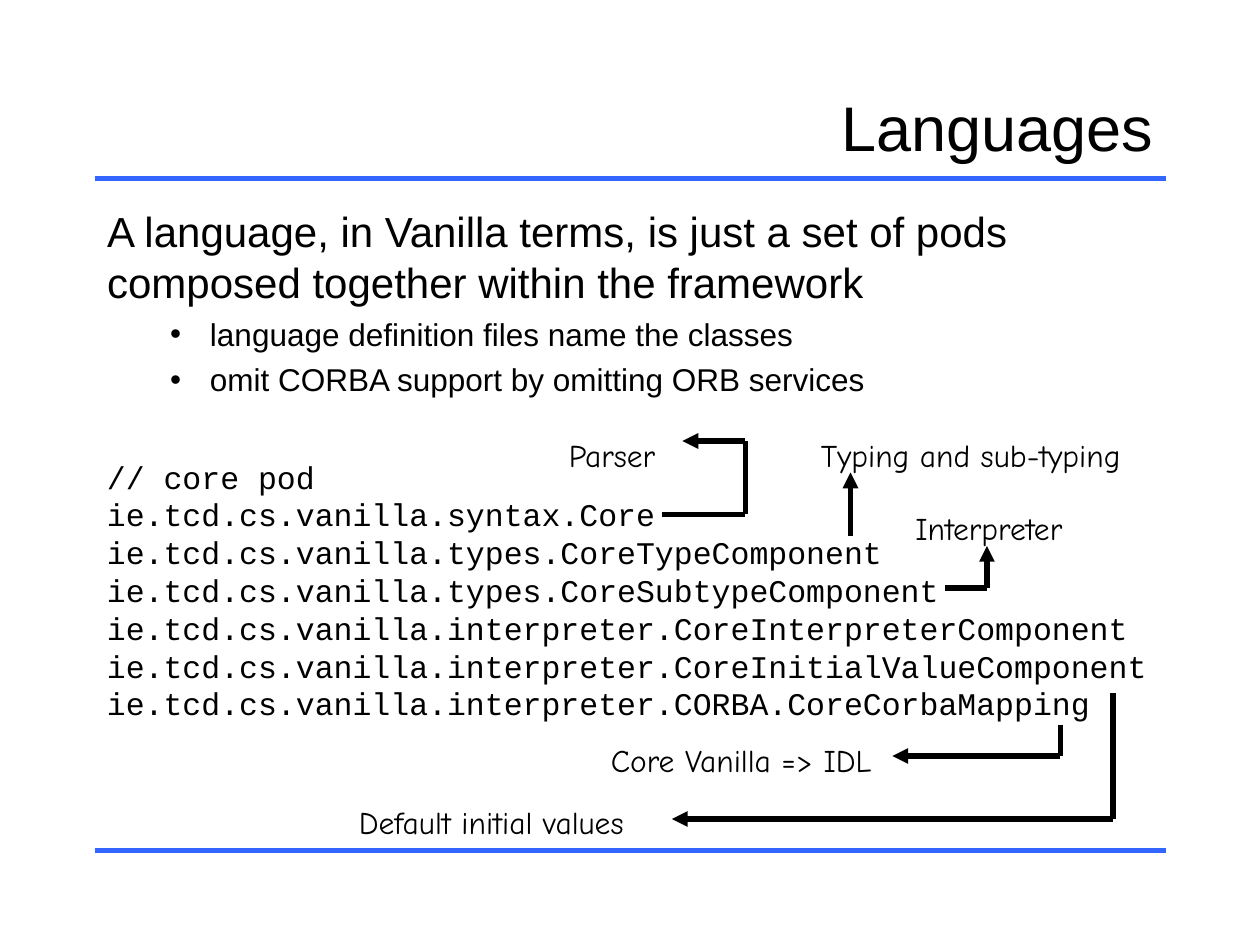
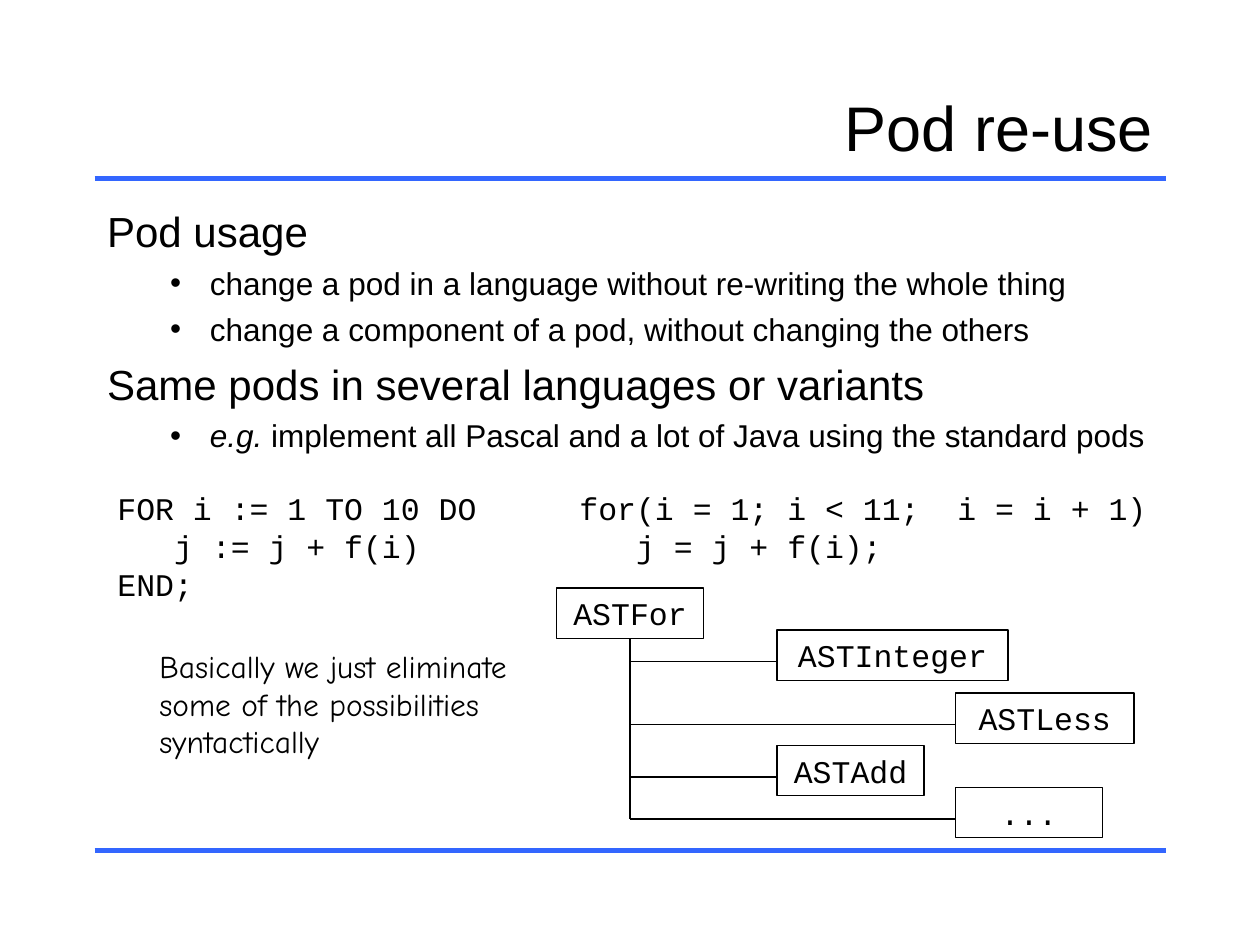
from pptx import Presentation
from pptx.dml.color import RGBColor
from pptx.enum.shapes import MSO_CONNECTOR as LINE, MSO_SHAPE as SHAPE
from pptx.enum.text import MSO_ANCHOR as ANCHOR, MSO_AUTO_SIZE as FIT, PP_ALIGN as ALIGN
from pptx.oxml.ns import qn
from pptx.util import Pt
from lxml.etree import SubElement

PX = 7620  # EMU in one px, 120 px to the inch
BLACK = RGBColor(0x00, 0x00, 0x00)
RULE_BLUE = RGBColor(0x33, 0x66, 0xFF)
SANS, CODE, HAND = "Arial", "Courier New", "Comic Neue"
LEFT, WIDTH = 90, 1020
RULE_TOPS = (170, 810)
LEADING = 1.2
BOTTOM = 2  # connection site


class Deck:
    """Holds the style and the slide being filled."""

    def __init__(self):
        self.prs = Presentation()
        self.prs.slide_width, self.prs.slide_height = 1200 * PX, 900 * PX
        self.slide = None

    def new_slide(self, title):
        self.slide = self.prs.slides.add_slide(self.prs.slide_layouts[1])
        for y in RULE_TOPS:
            self.line((LEFT, y), (LEFT + WIDTH, y), 3, RULE_BLUE)
        heading = self.slide.shapes.title
        self.place(heading, LEFT, 80, WIDTH, 80)
        heading.text_frame.text = title
        self.style(heading.text_frame, SANS, 36, ANCHOR.MIDDLE, ALIGN.RIGHT)

    def place(self, shape, left, top, width, height):
        shape.left, shape.top = left * PX, top * PX
        shape.width, shape.height = width * PX, height * PX

    def style(self, frame, font, size, anchor, align=ALIGN.LEFT):
        frame.word_wrap = True
        frame.auto_size = FIT.NONE
        frame.vertical_anchor = anchor
        for paragraph in frame.paragraphs:
            paragraph.alignment = align
            self.set_type(paragraph, font, size)

    def set_type(self, paragraph, font, size):
        paragraph.line_spacing = Pt(size * LEADING)
        paragraph.space_before = Pt(0)
        for run in paragraph.runs:
            run.font.name, run.font.size = font, Pt(size)
            run.font.color.rgb = BLACK

    def body(self, height, items):
        """Fill the body with (level, text) or (level, text, italic lead) items."""
        holder = self.slide.placeholders[1]
        self.place(holder, LEFT, 190, WIDTH, height)
        frame = holder.text_frame
        frame.text = "\n".join(item[1] for item in items)
        self.style(frame, SANS, 24, ANCHOR.TOP)
        for index, (paragraph, (level, text, *lead)) in enumerate(zip(frame.paragraphs, items)):
            if lead:
                paragraph.runs[0].text = lead[0]
                paragraph.runs[0].font.italic = True
                paragraph.add_run().text = text
            paragraph.level = level
            self.set_bullet(paragraph, level)
            self.set_type(paragraph, SANS, 18 if level else 24)
            if index:
                paragraph.space_before = Pt(4.5 if level else 6)

    def set_bullet(self, paragraph, level):
        props = paragraph._p.get_or_add_pPr()
        props.set("marL", str(98 * PX if level else 0))
        props.set("indent", str(-38 * PX if level else 0))
        if level:
            SubElement(props, qn("a:buChar")).set("char", "•")
        else:
            SubElement(props, qn("a:buNone"))

    def text(self, left, top, width, height, words, font, anchor=ANCHOR.MIDDLE):
        box = self.slide.shapes.add_textbox(0, 0, 0, 0)
        self.place(box, left, top, width, height)
        box.text_frame.text = words
        self.style(box.text_frame, font, 18, anchor)
        return box

    def label(self, left, top, width, words):
        box = self.text(left, top, width, 72, words, HAND, ANCHOR.BOTTOM)
        box.text_frame.margin_bottom = 9 * PX

    def node(self, left, top, width, words):
        box = self.slide.shapes.add_shape(SHAPE.RECTANGLE, 0, 0, 0, 0)
        self.place(box, left, top, width, 48)
        box.shadow.inherit = False
        box.fill.background()
        box.line.color.rgb, box.line.width = BLACK, Pt(0.75)
        box.text_frame.text = words
        self.style(box.text_frame, CODE, 18, ANCHOR.TOP, ALIGN.CENTER)
        return box

    def line(self, start, end, weight, color=BLACK, arrow=False):
        ends = [length * PX for length in (*start, *end)]
        link = self.slide.shapes.add_connector(LINE.STRAIGHT, *ends)
        link.line.color.rgb, link.line.width = color, Pt(weight)
        if arrow:
            SubElement(link.line._get_or_add_ln(), qn("a:tailEnd")).set("type", "triangle")
        SubElement(link._element.spPr, qn("a:effectLst"))
        return link

    def route(self, *points):
        """Draw straight legs through the points, with an arrowhead at the last."""
        for start, end in zip(points, points[1:]):
            self.line(start, end, 3, arrow=end == points[-1])


def languages(deck):
    deck.new_slide("Languages")
    deck.body(210, [
        (0, "A language, in Vanilla terms, is just a set of pods composed together "
            "within the framework"),
        (1, "language definition files name the classes"),
        (1, "omit CORBA support by omitting ORB services"),
    ])
    # Language definition file
    classes = ["syntax.Core", "types.CoreTypeComponent", "types.CoreSubtypeComponent",
               "interpreter.CoreInterpreterComponent",
               "interpreter.CoreInitialValueComponent",
               "interpreter.CORBA.CoreCorbaMapping"]
    definition = ["// core pod"] + ["ie.tcd.cs.vanilla." + name for name in classes]
    deck.text(LEFT, 430, WIDTH, 264, "\n".join(definition), CODE, ANCHOR.TOP)
    # Handwritten remarks
    deck.label(530, 388, 140, "Parser")
    deck.label(770, 388, 340, "Typing and sub-typing")
    deck.label(860, 458, 240, "Interpreter")
    deck.label(330, 738, 320, "Default initial values")
    deck.text(570, 700, 310, 48, "Core Vanilla => IDL", HAND)
    # Arrows from the classes to the remarks
    deck.route((630, 490), (710, 490), (710, 420), (650, 420))
    deck.route((810, 510), (810, 450))
    deck.route((900, 560), (940, 560), (940, 520))
    deck.route((1060, 660), (1060, 780), (640, 780))
    deck.route((1010, 690), (1010, 720), (850, 720))


def pod_reuse(deck):
    deck.new_slide("Pod re-use")
    deck.body(280, [
        (0, "Pod usage"),
        (1, "change a pod in a language without re-writing the whole thing"),
        (1, "change a component of a pod, without changing the others"),
        (0, "Same pods in several languages or variants"),
        (1, " implement all Pascal and a lot of Java using the standard pods", "e.g."),
    ])
    # The same loop in two languages
    deck.text(100, 460, 480, 120, "FOR i := 1 TO 10 DO\v   j := j + f(i)\vEND;", CODE)
    deck.text(540, 460, 590, 84, "for(i = 1; i < 11;  i = i + 1)\v   j = j + f(i);", CODE)
    deck.text(140, 610, 380, 120,
              "Basically we just eliminate some of the possibilities syntactically", HAND)
    # Syntax tree
    root = deck.node(530, 560, 140, "ASTFor")
    trunk_x = 600
    trunk = deck.line((trunk_x, 608), (trunk_x, 780), 0.75)
    trunk.begin_connect(root, BOTTOM)
    for left, top, width, words in [(740, 600, 220, "ASTInteger"),
                                    (910, 660, 170, "ASTLess"),
                                    (740, 710, 140, "ASTAdd"),
                                    (910, 750, 140, "...")]:
        deck.node(left, top, width, words)
        deck.line((trunk_x, top + 30), (left, top + 30), 0.75)


def main():
    deck = Deck()
    languages(deck)
    pod_reuse(deck)
    deck.prs.save("out.pptx")


if __name__ == "__main__":
    main()
